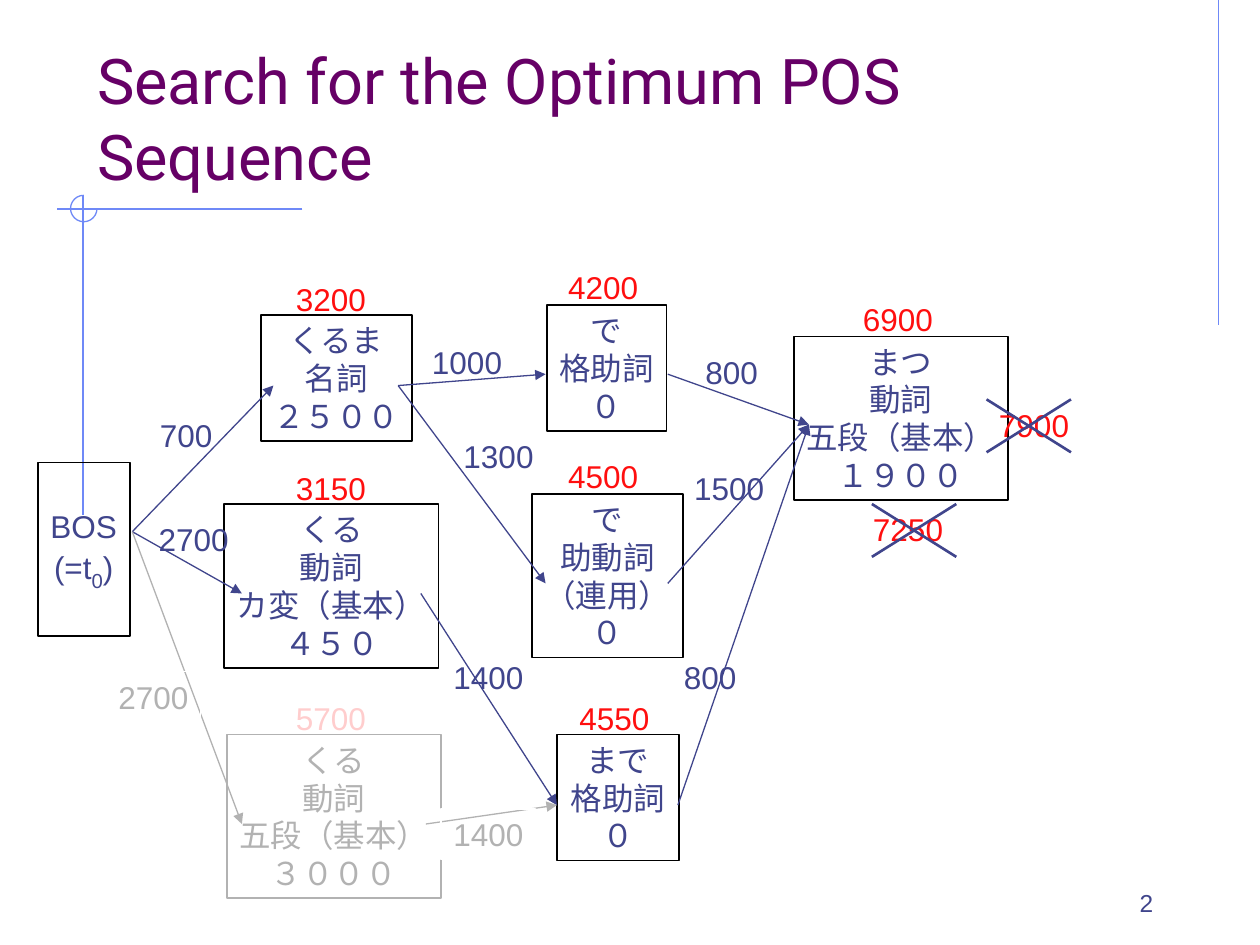
from pptx import Presentation
from pptx.dml.color import RGBColor
from pptx.enum import shapes, text
from pptx.oxml.ns import qn
from pptx.util import Inches, Pt
from lxml import etree

INK, RED, GREY, RULE = "40458C", "FF0F0F", "B2B2B2", "6F89F7"
PINK, BLACK, WHITE, PLUM = "FFCDCD", "000000", "FFFFFF", "660066"
KIND, PP, MSO = shapes.MSO_SHAPE, text.PP_ALIGN, text.MSO_ANCHOR

prs = Presentation()
prs.slide_width, prs.slide_height = Inches(10), Inches(7.5)
slide = prs.slides.add_slide(prs.slide_layouts[5])


def put(kind, spot, words="", ink=INK, edge=None, width=1, align=PP.LEFT):
    """Add an unfilled shape with one 18 pt paragraph per line of words."""
    box = slide.shapes.add_shape(kind, *map(Inches, spot))
    box.shadow.inherit = False
    box.fill.background()
    if edge:
        box.line.color.rgb = RGBColor.from_string(edge)
        box.line.width = Pt(width)
    else:
        box.line.fill.background()
    frame = box.text_frame
    frame.word_wrap = False
    frame.vertical_anchor = MSO.TOP
    frame.text = words
    for par in frame.paragraphs:
        par.alignment = align
        par.font.size = Pt(18)
        par.font.name = "Arial"
        par.font.color.rgb = RGBColor.from_string(ink)
    return box


def draw(start, end, ink=INK, width=0.75, head=True):
    """Add a straight line, with an arrowhead at its end if head is set."""
    line = slide.shapes.add_connector(
        shapes.MSO_CONNECTOR.STRAIGHT, *map(Inches, start + end))
    line.line.color.rgb = RGBColor.from_string(ink)
    line.line.width = Pt(width)
    if head:
        tail = etree.SubElement(line.line._get_or_add_ln(), qn("a:tailEnd"))
        tail.set("type", "triangle")
    etree.SubElement(line._element.spPr, qn("a:effectLst"))


# Decorative rules
for start, end in [((9.67, 0), (9.67, 2.58)),
                   ((2.4, 1.66), (0.45, 1.66)),
                   ((0.66, 1.55), (0.66, 4.09))]:
    draw(start, end, RULE, head=False)
arc = put(KIND.ARC, (0.56, 1.55, 0.21, 0.21), edge=RULE, width=0.75)
arc.adjustments[0], arc.adjustments[1] = 0, 162  # 0 to 270 degrees

# Title and page number
title = slide.shapes.title
title.left, title.top = Inches(0.67), Inches(0.33)
title.width, title.height = Inches(8.5), Inches(1.25)
title.text_frame.text = "Search for the Optimum POS Sequence"
title.text_frame.auto_size = text.MSO_AUTO_SIZE.NONE
title.text_frame.vertical_anchor = MSO.BOTTOM
head = title.text_frame.paragraphs[0]
head.alignment = PP.LEFT
head.font.size = Pt(36)
head.font.name = "Roboto"
head.font.color.rgb = RGBColor.from_string(PLUM)

page = slide.shapes.add_textbox(*map(Inches, (7.17, 6.83, 2.08, 0.5)))
page.text_frame.word_wrap = True
page.text_frame.vertical_anchor = MSO.BOTTOM
page.text_frame.text = "2"
num = page.text_frame.paragraphs[0]
num.alignment = PP.RIGHT
num.font.size = Pt(14)
num.font.name = "Arial"
num.font.color.rgb = RGBColor.from_string(INK)

# Word boxes
words = [
    ((2.07, 2.5, 1.2, 1), "くるま\n名詞\n２５００", INK, BLACK),
    ((1.78, 4, 1.7, 1.3), "くる\n動詞\nカ変（基本）\n４５０", INK, BLACK),
    ((1.8, 5.83, 1.7, 1.3), "くる\n動詞\n五段（基本）\n３０００", GREY, GREY),
    ((4.34, 2.42, 0.95, 1), "で\n格助詞\n０", INK, BLACK),
    ((4.22, 3.92, 1.2, 1.3), "で\n助動詞\n（連用）\n０", INK, BLACK),
    ((4.42, 5.83, 0.97, 1), "まで\n格助詞\n０", INK, BLACK),
    ((6.3, 2.67, 1.7, 1.3), "まつ\n動詞\n五段（基本）\n１９００", INK, BLACK),
]
for spot, label, ink, edge in words:
    put(KIND.RECTANGLE, spot, label, ink, edge, align=PP.CENTER)

bos = put(KIND.RECTANGLE, (0.3, 3.67, 0.73, 1.38), "BOS\n(=t", edge=BLACK,
          align=PP.CENTER)
bos.text_frame.vertical_anchor = MSO.MIDDLE
last = bos.text_frame.paragraphs[1]
sub = last.add_run()
sub.text = "0"
sub.font.size = Pt(20)
sub.font._element.set("baseline", "-25000")
last.add_run().text = ")"

# Transitions
root, noun, verb = (1.05, 4.22), (3.16, 3.06), (3.34, 4.71)
made, goal = (4.42, 6.39), (6.42, 3.37)
for start, end, ink in [
    (root, (2.17, 3.06), INK), (root, (1.92, 4.71), INK),
    (root, (1.92, 6.54), GREY),
    (noun, (4.33, 2.97), INK), (noun, (4.33, 4.63), INK),
    (verb, made, INK), ((3.38, 6.54), made, GREY),
    ((5.3, 2.97), goal, INK), ((5.3, 4.63), goal, INK),
    ((5.38, 6.39), goal, INK),
]:
    draw(start, end, ink)

# Transition costs, then best totals
costs = [(1.17, 3.25, "700"), (1.16, 4.08, "2700"), (3.33, 2.67, "1000"),
         (3.58, 3.42, "1300"), (3.5, 5.17, "1400"), (5.5, 2.75, "800"),
         (5.41, 3.67, "1500"), (5.33, 5.17, "800")]
faded = [(0.84, 5.33, "2700"), (3.5, 6.42, "1400")]
sums = [(2.25, 2.17, "3200"), (2.25, 3.67, "3150"), (4.41, 2.08, "4200"),
        (4.41, 3.58, "4500"), (4.5, 5.5, "4550"), (6.75, 2.33, "6900"),
        (6.83, 4, "7250"), (7.83, 3.17, "7900")]
for group, ink, edge in [(costs, INK, None), (faded, GREY, WHITE),
                         (sums, RED, None),
                         ([(2.25, 5.5, "5700")], PINK, None)]:
    for x, y, label in group:
        wide = 0.61 if len(label) == 3 else 0.75
        put(KIND.RECTANGLE, (x, y, wide, 0.4), label, ink, edge, 0.75)

# Crosses over rejected totals
for x, y in [(6.92, 4), (7.83, 3.17)]:
    right, low = x + 0.67, y + 0.42
    draw((x, y), (right, low), width=1.5, head=False)
    draw((x, low), (right, y), width=1.5, head=False)

prs.save("out.pptx")
